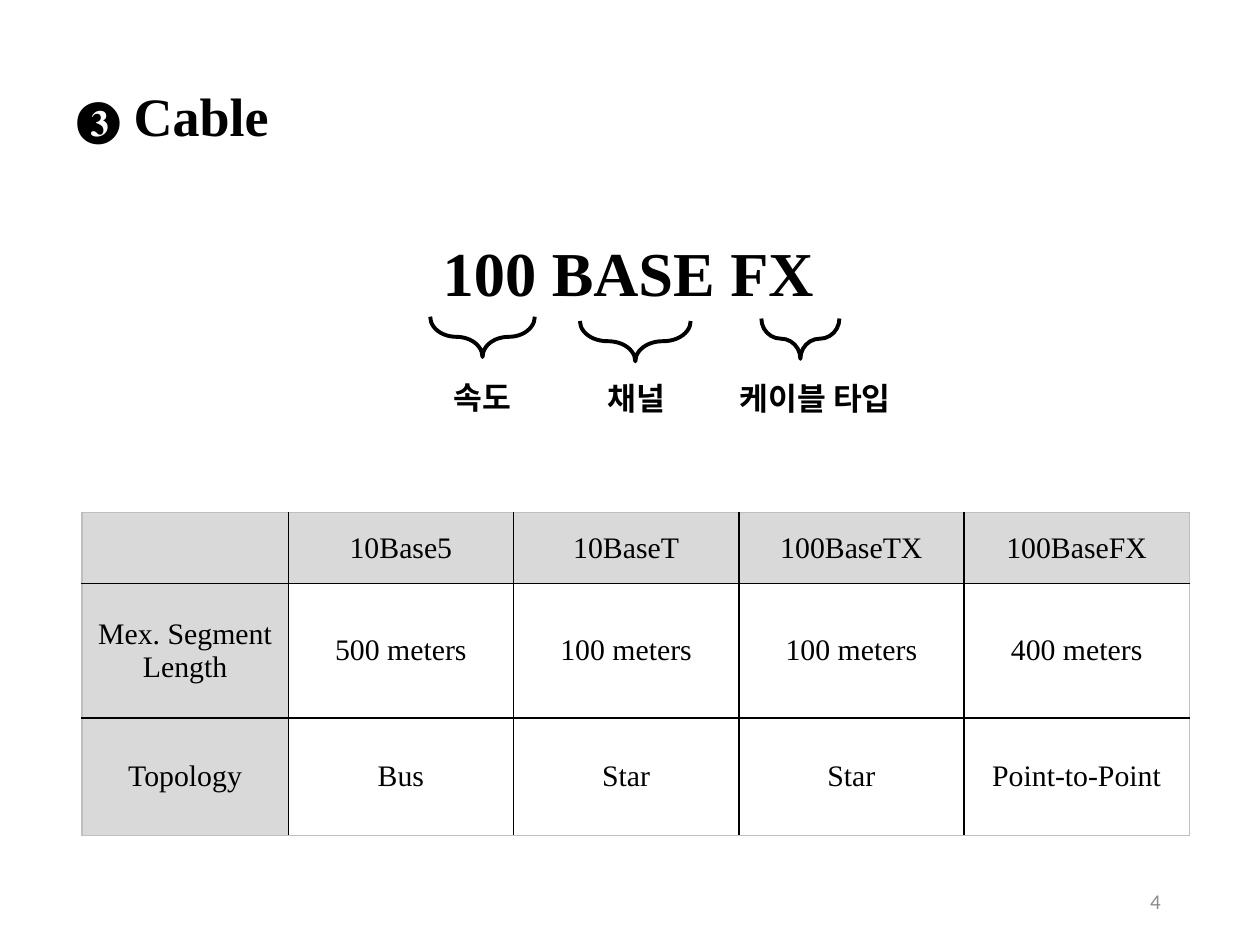
from collections import namedtuple

from lxml import etree
from pptx import Presentation
from pptx import util as u
from pptx.dml.color import RGBColor
from pptx.enum import shapes, text
from pptx.oxml import ns

BLACK = RGBColor(0, 0, 0)
HEADER_GRAY = RGBColor(0xD9, 0xD9, 0xD9)
FRAME_GRAY = RGBColor(0xBF, 0xBF, 0xBF)
NUMBER_GRAY = RGBColor(0x8C, 0x8C, 0x8C)
WHITE = RGBColor(0xFF, 0xFF, 0xFF)
SERIF, KOREAN, SANS = "Times New Roman", "Noto Sans CJK KR", "Calibri"
CENTER, RIGHT = text.PP_ALIGN.CENTER, text.PP_ALIGN.RIGHT


class Box(namedtuple("Box", "left top width height")):
    def inner(self, left, top, width, height):
        """Return an inner box, given in percent of this one."""
        return Box(int(self.left + self.width * left / 100),
                   int(self.top + self.height * top / 100),
                   int(self.width * width / 100),
                   int(self.height * height / 100))


# Label, brace: centre x, centre y, length, curve; label: centre x, top, width
Segment = namedtuple("Segment", "label x y length curve label_x label_top label_width")
SEGMENTS = [
    Segment("속도", 36.85, 43.7, 9.45, 0.74, 36.85, 61, 15.25),
    Segment("채널", 50.65, 45.6, 10, 0.68, 50.75, 61.5, 15.25),
    Segment("케이블 타입", 65.55, 44.5, 7.05, 0.55, 66.9, 61.5, 22.75),
]
CABLES = [
    ["", "10Base5", "10BaseT", "100BaseTX", "100BaseFX"],
    ["Mex. Segment Length", "500 meters", "100 meters", "100 meters", "400 meters"],
    ["Topology", "Bus", "Star", "Star", "Point-to-Point"],
]


def style(run, size, font=SERIF, color=BLACK, bold=False):
    run.font.size, run.font.name, run.font.bold = u.Pt(size), font, bold
    run.font.color.rgb = color
    east_asian = etree.Element(ns.qn("a:ea"), typeface=font)
    run.font._element.find(ns.qn("a:latin")).addnext(east_asian)


def add_line(slide, box, wording, size, align=CENTER, spacing=0.9,
             anchor=text.MSO_ANCHOR.TOP, **look):
    frame = slide.shapes.add_textbox(*box).text_frame
    frame.word_wrap = True
    frame.vertical_anchor = anchor
    paragraph = frame.paragraphs[0]
    paragraph.text = wording
    paragraph.alignment, paragraph.line_spacing = align, spacing
    style(paragraph.runs[0], size, **look)


def place_title(slide, box):
    title = slide.shapes.title
    title.left, title.top, title.width, title.height = box
    frame = title.text_frame
    frame.word_wrap = False
    frame.auto_size = text.MSO_AUTO_SIZE.NONE
    frame.vertical_anchor = text.MSO_ANCHOR.TOP
    paragraph = frame.paragraphs[0]
    paragraph.alignment, paragraph.line_spacing = text.PP_ALIGN.LEFT, 1.5
    for wording, size in (("❸", 28), (" Cable", 30.9)):
        run = paragraph.add_run()
        run.text = wording
        style(run, size, bold=True)


def add_brace(slide, center_x, center_y, length, depth, curve):
    """Draw a brace that points down, as a right brace turned a quarter."""
    brace = slide.shapes.add_shape(
        shapes.MSO_SHAPE.RIGHT_BRACE, center_x - depth // 2,
        center_y - length // 2, depth, length)
    brace.rotation = 90
    brace.adjustments[0] = curve
    brace.shadow.inherit = False
    brace.fill.background()
    brace.line.color.rgb = BLACK
    brace.line.width = u.Pt(2.25)


def add_designation(slide, box):
    """Cable designation with a brace and a label under each segment."""
    add_line(slide, box.inner(0, 0, 100, 38.5), "100 BASE FX", 35.7, bold=True)
    for seg in SEGMENTS:
        span = box.inner(seg.x, seg.y, seg.length, 17.6)
        add_brace(slide, *span, seg.curve)
        label_box = box.inner(seg.label_x - seg.label_width / 2, seg.label_top,
                              seg.label_width, 38.5)
        add_line(slide, label_box, seg.label, 17.9, font=KOREAN, bold=True)


def set_borders(cell, colors):
    """Set left, right, top and bottom borders, in that order."""
    properties = cell._tc.get_or_add_tcPr()
    for index, (side, color) in enumerate(zip("LRTB", colors)):
        line = etree.Element(ns.qn(f"a:ln{side}"), w=str(u.Pt(1)))
        fill = etree.SubElement(line, ns.qn("a:solidFill"))
        etree.SubElement(fill, ns.qn("a:srgbClr"), val=str(color))
        properties.insert(index, line)


def add_cable_table(slide, box, col_shares, row_shares):
    rows, cols = len(CABLES), len(CABLES[0])
    table = slide.shapes.add_table(rows, cols, *box).table
    for column, share in zip(table.columns, col_shares):
        column.width = int(box.width * share / sum(col_shares))
    for row, share in zip(table.rows, row_shares):
        row.height = int(box.height * share / sum(row_shares))
    for r, values in enumerate(CABLES):
        for c, value in enumerate(values):
            cell = table.cell(r, c)
            cell.vertical_anchor = text.MSO_ANCHOR.MIDDLE
            cell.margin_left = cell.margin_right = u.Inches(0.09)
            cell.margin_top = cell.margin_bottom = u.Inches(0.04)
            cell.fill.solid()
            cell.fill.fore_color.rgb = HEADER_GRAY if r == 0 or c == 0 else WHITE
            on_edge = (c == 0, c == cols - 1, r == 0, r == rows - 1)
            set_borders(cell, [FRAME_GRAY if edge else BLACK for edge in on_edge])
            paragraph = cell.text_frame.paragraphs[0]
            paragraph.text = value
            paragraph.alignment = CENTER
            for run in paragraph.runs:
                style(run, 17)


def main():
    deck = Presentation()
    deck.slide_width, deck.slide_height = u.Inches(10), u.Inches(7.5)
    page = Box(0, 0, deck.slide_width, deck.slide_height)
    slide = deck.slides.add_slide(deck.slide_layouts[5])
    place_title(slide, page.inner(5.1, 4.65, 20, 10.55))
    add_designation(slide, page.inner(5.9, 25.05, 87.9, 24.25))
    add_cable_table(slide, page.inner(6.5, 54.25, 87.9, 34.15),
                    (1.64, 1.79, 1.79, 1.79, 1.79), (0.56, 1.07, 0.93))
    add_line(slide, page.inner(70.6, 92.65, 22.5, 5.35), "4", 12, align=RIGHT,
             spacing=1, anchor=text.MSO_ANCHOR.MIDDLE, font=SANS, color=NUMBER_GRAY)
    deck.save("out.pptx")


if __name__ == "__main__":
    main()
